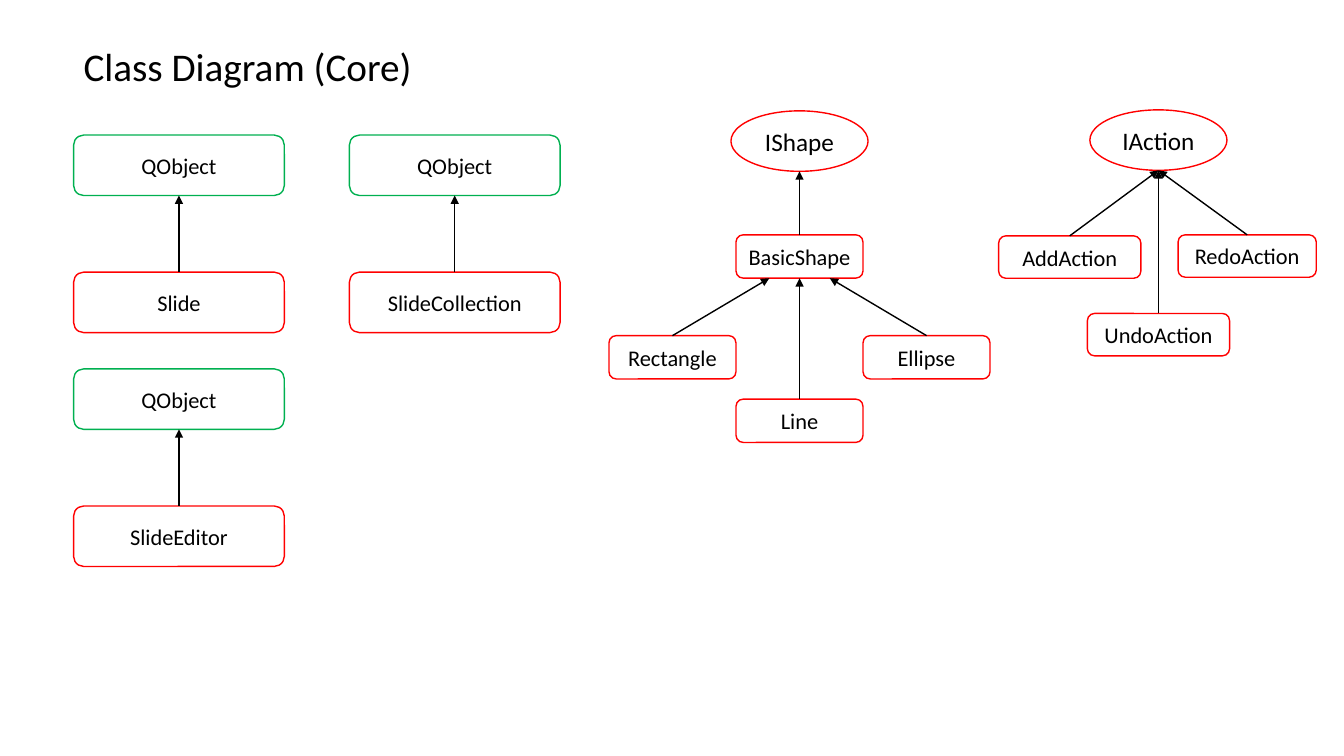
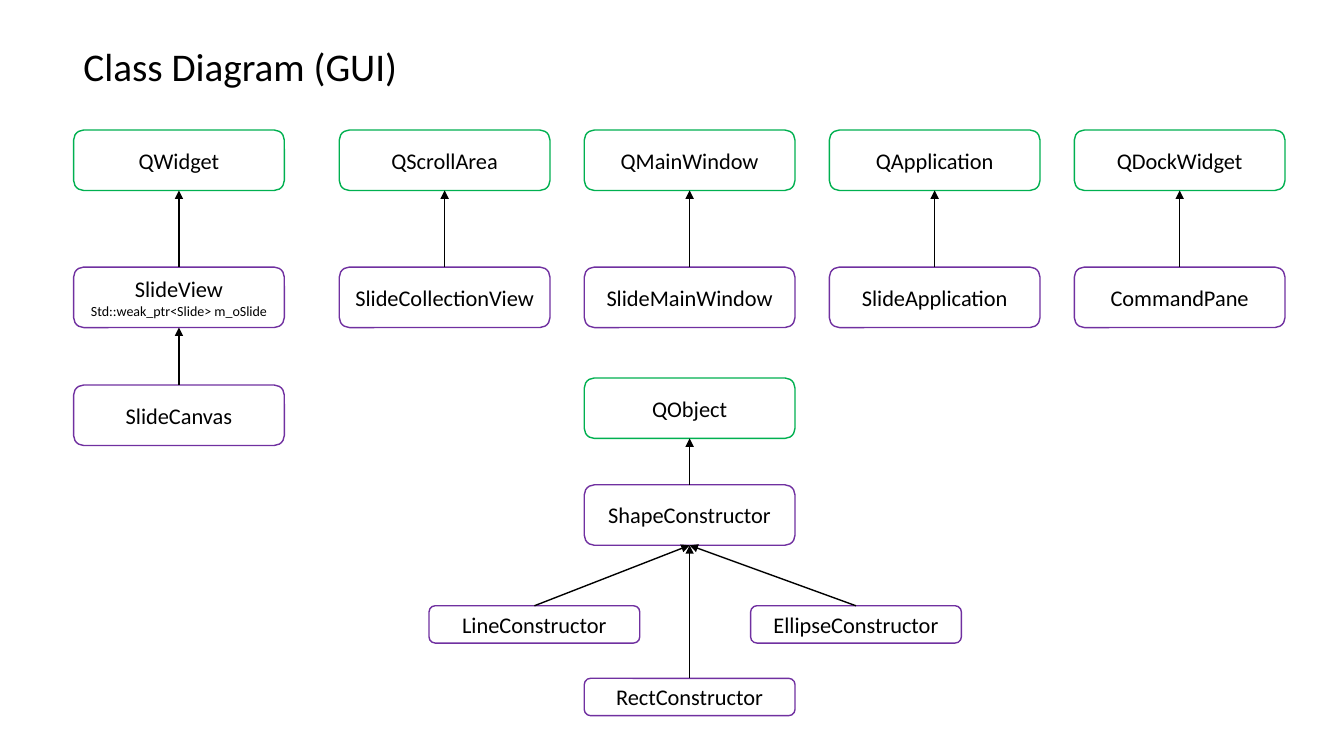
import dataclasses

import pptx
import pptx.dml.color
import pptx.enum.shapes
import pptx.enum.text
import pptx.oxml.ns
import pptx.util
from lxml import etree

INCH = pptx.util.Inches(1)
KINDS = pptx.enum.shapes.MSO_SHAPE


@dataclasses.dataclass(frozen=True)
class Theme:
    font: str = "Calibri"
    ink: str = "000000"
    library: str = "00B050"
    core: str = "FF0000"
    gui: str = "7030A0"
    title: int = 28
    interface: int = 18
    body: int = 16
    member: int = 10
    line: int = 1


theme = Theme()

# Box sizes and grid steps, in inches
wide, small, action, slim = (2.09, 0.6), (1.26, 0.43), (1.41, 0.42), (2.09, 0.37)
oval = (1.36, 0.6)
margin, title_top = 0.73, 0.37
first = margin + wide[0] / 2
drop = 1.36


def write(frame, text, size=theme.body, align=pptx.enum.text.PP_ALIGN.CENTER, new=False):
    para = frame.add_paragraph() if new else frame.paragraphs[0]
    para.alignment = align
    span = para.add_run()
    span.text = text
    span.font.name = theme.font
    span.font.size = pptx.util.Pt(size)
    span.font.color.rgb = pptx.dml.color.RGBColor.from_string(theme.ink)


def add_class(page, name, centre, top, size, colour, parent=None, shift=0, member=None):
    """Draw a class box; an arrow leads to its parent, landing shift inches off centre."""
    width, height = size
    is_oval = size == oval
    box = page.shapes.add_shape(
        KINDS.OVAL if is_oval else KINDS.ROUNDED_RECTANGLE,
        *(round(length * INCH) for length in (centre - width / 2, top, width, height)))
    box.shadow.inherit = False
    box.fill.background()
    box.line.color.rgb = pptx.dml.color.RGBColor.from_string(colour)
    box.line.width = pptx.util.Pt(theme.line)
    box.text_frame.word_wrap = True
    box.text_frame.vertical_anchor = pptx.enum.text.MSO_ANCHOR.MIDDLE
    write(box.text_frame, name, size=theme.interface if is_oval else theme.body)
    if member:
        write(box.text_frame, member, size=theme.member, new=True)
    if parent is None:
        return box

    arrow = page.shapes.add_connector(
        pptx.enum.shapes.MSO_CONNECTOR.STRAIGHT,
        box.left + box.width // 2, box.top,
        parent.left + parent.width // 2 + round(shift * INCH), parent.top + parent.height)
    arrow.begin_connect(box, 0)
    if parent.auto_shape_type == KINDS.ROUNDED_RECTANGLE and not shift:
        arrow.end_connect(parent, 2)
    arrow.line.color.rgb = pptx.dml.color.RGBColor.from_string(theme.ink)
    arrow.line.width = pptx.util.Pt(theme.line)
    outline = arrow.line._get_or_add_ln()
    etree.SubElement(outline, pptx.oxml.ns.qn("a:tailEnd"), type="triangle")
    etree.SubElement(arrow._element.spPr, pptx.oxml.ns.qn("a:effectLst"))
    return box


deck = pptx.Presentation()
deck.slide_width = pptx.util.Inches(13.33)
deck.slide_height = pptx.util.Inches(7.5)

pages = []
for title, title_width in (("Class Diagram (Core)", 3.49), ("Class Diagram (GUI)", 3.34)):
    page = deck.slides.add_slide(deck.slide_layouts[6])
    box = page.shapes.add_textbox(*(pptx.util.Inches(length) for length in
                                    (margin, title_top, title_width, 0.57)))
    box.text_frame.word_wrap = False
    box.text_frame.auto_size = pptx.enum.text.MSO_AUTO_SIZE.SHAPE_TO_FIT_TEXT
    write(box.text_frame, title, size=theme.title, align=pptx.enum.text.PP_ALIGN.LEFT)
    pages.append(page)
core_page, gui_page = pages

# Core: classes derived from QObject
for name, centre, top in (("Slide", first, 1.34), ("SlideCollection", 4.51, 1.34),
                          ("SlideEditor", first, 3.66)):
    base = add_class(core_page, "QObject", centre, top, wide, theme.library)
    add_class(core_page, name, centre, top + drop, wide, theme.core, base)

# Core: shapes, one box width apart
shape_axis, shape_step = 7.93, small[0]
interface = add_class(core_page, "IShape", shape_axis, 1.1, oval, theme.core)
basic = add_class(core_page, "BasicShape", shape_axis, 2.33, small, theme.core, interface)
for name, column, top in (("Rectangle", -1, 3.33), ("Line", 0, 3.96), ("Ellipse", 1, 3.33)):
    add_class(core_page, name, shape_axis + column * shape_step, top, small, theme.core,
              basic, shift=column * 0.3)

# Core: actions
action_axis, action_step = 11.49, 0.88
interface = add_class(core_page, "IAction", action_axis, 1.09, oval, theme.core)
for name, column, top, size in (("AddAction", -1, 2.34, action),
                                ("UndoAction", 0, 3.11, action),
                                ("RedoAction", 1, 2.33, (1.37, 0.42))):
    add_class(core_page, name, action_axis + column * action_step, top, size, theme.core,
              interface)

# GUI: widgets, the last four in equal columns
gui_top, column_start, column_step = 1.29, 4.41, 2.43
view_base = add_class(gui_page, "QWidget", first, gui_top, wide, theme.library)
view = add_class(gui_page, "SlideView", first, gui_top + drop, wide, theme.gui, view_base,
                 member="Std::weak_ptr<Slide> m_oSlide")
add_class(gui_page, "SlideCanvas", first, 3.82, wide, theme.gui, view)

widgets = (("QScrollArea", "SlideCollectionView"), ("QMainWindow", "SlideMainWindow"),
           ("QApplication", "SlideApplication"), ("QDockWidget", "CommandPane"))
for column, (base_name, name) in enumerate(widgets):
    centre = column_start + column * column_step
    base = add_class(gui_page, base_name, centre, gui_top, wide, theme.library)
    add_class(gui_page, name, centre, gui_top + drop, wide, theme.gui, base)

# GUI: constructors below the main window column
maker_axis = column_start + column_step
base = add_class(gui_page, "QObject", maker_axis, 3.75, wide, theme.library)
maker = add_class(gui_page, "ShapeConstructor", maker_axis, 4.81, wide, theme.gui, base)
for name, centre, top in (("LineConstructor", 5.3, 6.01),
                          ("RectConstructor", maker_axis, 6.73),
                          ("EllipseConstructor", 8.49, 6.01)):
    add_class(gui_page, name, centre, top, slim, theme.gui, maker)

deck.save("out.pptx")
